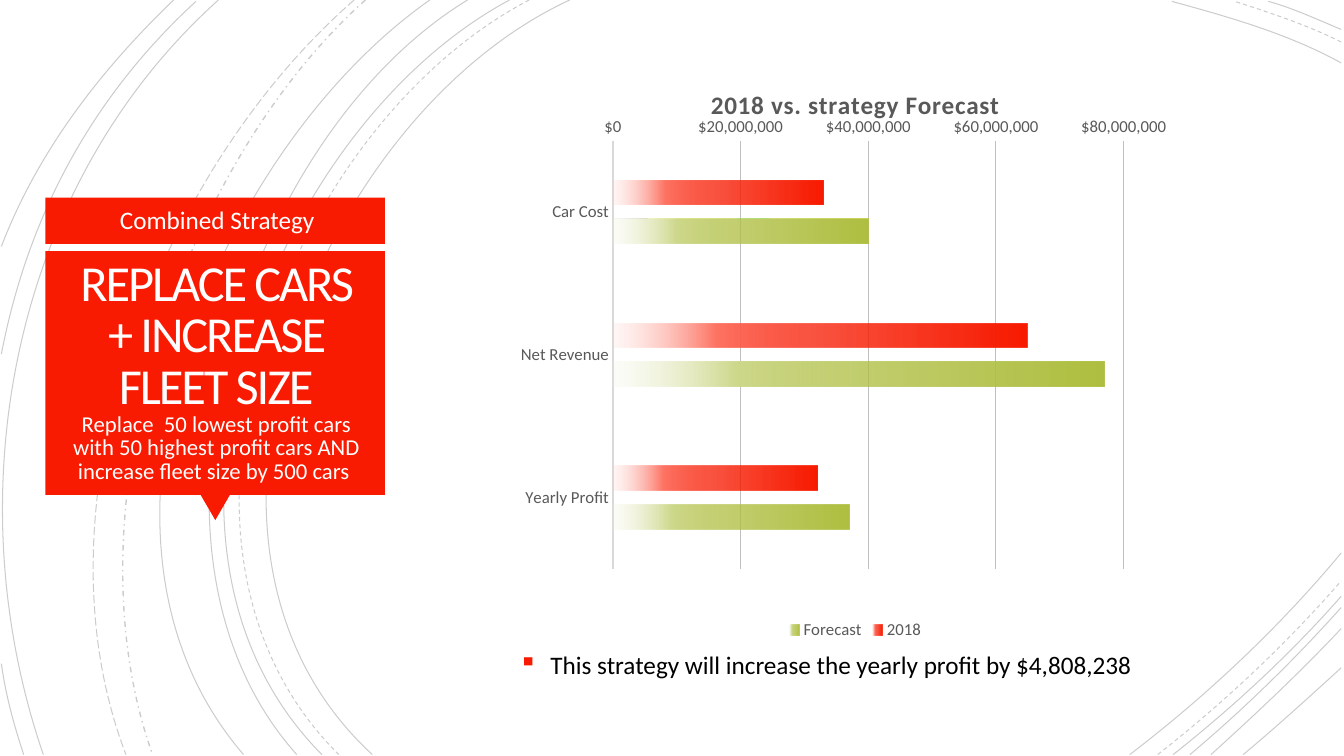
from dataclasses import dataclass

from lxml.etree import SubElement
from pptx import Presentation
from pptx.chart.data import CategoryChartData
from pptx.dml.color import RGBColor
from pptx.enum.chart import XL_AXIS_CROSSES, XL_CHART_TYPE, XL_LEGEND_POSITION, XL_TICK_MARK
from pptx.enum.dml import MSO_LINE
from pptx.enum.shapes import MSO_SHAPE
from pptx.enum.text import MSO_ANCHOR, MSO_AUTO_SIZE, PP_ALIGN
from pptx.oxml import parse_xml
from pptx.oxml.ns import nsdecls, qn
from pptx.util import Pt


@dataclass(frozen=True)
class Theme:
    """Colours, font and type sizes of the slide."""
    font: str = "Calibri"
    red: str = "F81B02"
    white: str = "FFFFFF"
    title_white: str = "FFFEFF"
    black: str = "000000"
    gray: str = "595959"
    axis: str = "D9D9D9"
    grid: str = "BFBFBF"
    title_size: float = 36
    detail_size: float = 16.2
    body_size: float = 18
    chart_title_size: float = 18
    chart_size: float = 12


theme = Theme()


def write_text(paragraph, text, size, color, bold=False, spacing=0, align=None):
    """Add a formatted run to a paragraph; spacing is in points."""
    run = paragraph.add_run()
    run.text = text
    run.font.name = theme.font
    run.font.size = Pt(size)
    run.font.bold = bold
    run.font.color.rgb = RGBColor.from_string(color)
    run._r.get_or_add_rPr().set("spc", str(round(spacing * 100)))
    if align is not None:
        paragraph.alignment = align


def add_text_box(left, top, width, height):
    """Add a wrapping text box and return its first paragraph."""
    frame = slide.shapes.add_textbox(Pt(left), Pt(top), Pt(width), Pt(height)).text_frame
    frame.word_wrap = True
    frame.auto_size = MSO_AUTO_SIZE.SHAPE_TO_FIT_TEXT
    return frame.paragraphs[0]


presentation = Presentation()
presentation.slide_width, presentation.slide_height = Pt(960), Pt(540)
slide = presentation.slides.add_slide(presentation.slide_layouts[5])

# Background arcs: start, two Bezier handles and end, grouped by dash style
arcs = {
    (MSO_LINE.SOLID, 0.75): [
        [(407, 0), (227, 83), (103, 389), (266, 539)],
        [(364, 0), (194, 91), (79, 387), (230, 539)],
        [(334, 0), (176, 96), (79, 390), (212, 539)],
        [(307, 0), (156, 106), (38, 381), (174, 539)],
        [(156, 0), (8, 133), (-33, 353), (31, 539)],
        [(140, 1), (66, 69), (20, 154), (1, 253)],
        [(124, 0), (72, 50), (27, 108), (1, 176)],
        [(1, 474), (4, 496), (10, 518), (17, 539)],
        [(958, 45), (920, 24), (877, 12), (837, 1)],
        [(958, 21), (941, 14), (924, 6), (906, 1)],
        [(807, 539), (862, 497), (914, 448), (958, 395)],
        [(838, 539), (881, 505), (922, 467), (958, 426)],
        [(850, 539), (888, 507), (924, 472), (958, 434)],
        [(865, 539), (897, 510), (929, 480), (958, 449)],
        [(888, 539), (912, 519), (935, 498), (958, 477)],
    ],
    (MSO_LINE.DASH, 0.75): [
        [(378, 0), (205, 90), (89, 387), (242, 539)],
        [(958, 30), (934, 18), (907, 9), (882, 1)],
        [(827, 539), (873, 503), (918, 461), (958, 415)],
    ],
    (MSO_LINE.DASH_DOT, 1): [[(261, 0), (127, 120), (47, 366), (109, 539)]],
    (MSO_LINE.LONG_DASH, 0.75): [[(253, 0), (113, 122), (21, 359), (90, 539)]],
}
for (dash, weight), curves in arcs.items():
    for start, *handles_and_end in curves:
        builder = slide.shapes.build_freeform(*start, scale=Pt(1))
        builder.add_line_segments(handles_and_end, close=False)
        arc = builder.convert_to_shape()
        outline = arc._element.find(".//" + qn("a:path"))
        bezier = SubElement(outline, qn("a:cubicBezTo"))
        for segment in outline.findall(qn("a:lnTo")):
            bezier.append(segment[0])
            outline.remove(segment)
        arc.shadow.inherit = False
        arc.fill.background()
        arc.line.width = Pt(weight)
        arc.line.dash_style = dash
        arc.line.color.rgb = RGBColor.from_string(theme.black)
        color = arc.line._ln.find(".//" + qn("a:srgbClr"))
        SubElement(color, qn("a:alpha")).set("val", "20000")

# Red callout
for preset, left, top, width, height, rotation in [
    (MSO_SHAPE.RECTANGLE, 32.4, 141.1, 242.6, 33.1, 0),
    (MSO_SHAPE.ISOSCELES_TRIANGLE, 143.3, 353.5, 20.9, 18, 180),
    (MSO_SHAPE.RECTANGLE, 32.4, 179.3, 242.6, 174.2, 0),
]:
    panel = slide.shapes.add_shape(preset, Pt(left), Pt(top), Pt(width), Pt(height))
    panel.rotation = rotation
    panel.shadow.inherit = False
    panel.fill.solid()
    panel.fill.fore_color.rgb = RGBColor.from_string(theme.red)
    panel.line.fill.background()

title = slide.shapes.title
title.left, title.top, title.width, title.height = Pt(41), Pt(185.8), Pt(226.8), Pt(159.8)
slide.shapes._spTree.append(title._element)
frame = title.text_frame
frame.word_wrap = True
frame.auto_size = MSO_AUTO_SIZE.NONE
frame.vertical_anchor = MSO_ANCHOR.MIDDLE
frame.margin_left = frame.margin_right = frame.margin_top = frame.margin_bottom = Pt(7.2)
paragraph = frame.paragraphs[0]
paragraph.line_spacing = 0.85
write_text(paragraph, "REPLACE CARS + INCREASE FLEET SIZE", theme.title_size,
           theme.title_white, spacing=-1.5, align=PP_ALIGN.CENTER)
paragraph.add_line_break()
write_text(paragraph, "Replace  50 lowest profit cars with 50 highest profit cars AND "
           "increase fleet size by 500 cars ", theme.detail_size, theme.title_white)

write_text(add_text_box(17.3, 142.6, 275.8, 29), "Combined Strategy",
           theme.body_size, theme.white, align=PP_ALIGN.CENTER)

conclusion = add_text_box(363.6, 460, 520, 29)
write_text(conclusion, "This strategy will increase the yearly profit by $4,808,238",
           theme.body_size, theme.black)
properties = conclusion._p.get_or_add_pPr()
properties.set("marL", str(Pt(22.5)))
properties.set("indent", str(Pt(-22.5)))
bullet_color = SubElement(properties, qn("a:buClr"))
SubElement(bullet_color, qn("a:srgbClr")).set("val", theme.red)
SubElement(properties, qn("a:buChar")).set("char", "▪")

# Chart
data = CategoryChartData(number_format='"$"#,##0')
data.categories = ["Car Cost", "Net Revenue", "Yearly Profit"]
data.add_series("2018", [33000000, 65000000, 32000000])
data.add_series("Forecast", [40000000, 77000000, 37000000])
chart = slide.shapes.add_chart(XL_CHART_TYPE.BAR_CLUSTERED, Pt(363.6), Pt(46.8),
                               Pt(494.6), Pt(413.3), data).chart
chart.font.name = theme.font
chart.font.size = Pt(theme.chart_size)
chart.font.color.rgb = RGBColor.from_string(theme.gray)
write_text(chart.chart_title.text_frame.paragraphs[0], "2018 vs. strategy Forecast",
           theme.chart_title_size, theme.gray, bold=True, spacing=0.5)
chart.has_legend = True
chart.legend.position = XL_LEGEND_POSITION.BOTTOM
chart.legend.include_in_layout = False

category_axis, value_axis = chart.category_axis, chart.value_axis
for axis in (category_axis, value_axis):
    axis.major_tick_mark = axis.minor_tick_mark = XL_TICK_MARK.NONE
category_axis.reverse_order = True
category_axis.crosses = XL_AXIS_CROSSES.MAXIMUM
category_axis.format.line.width = Pt(1.5)
category_axis.format.line.color.rgb = RGBColor.from_string(theme.axis)
value_axis.minimum_scale, value_axis.maximum_scale = 0, 90000000
value_axis.major_unit = 20000000
value_axis.tick_labels.number_format = '"$"#,##0'
value_axis.tick_labels.number_format_is_linked = False
value_axis.format.line.fill.background()
value_axis.major_gridlines.format.line.width = Pt(0.75)
value_axis.major_gridlines.format.line.color.rgb = RGBColor.from_string(theme.grid)

plot = chart.plots[0]
plot.gap_width, plot.overlap, plot.vary_by_categories = 326, -58, False
bar_colors = [(theme.red, "FE7464", "FFD1CB"), ("AFBF41", "CFD98D", "EFF2D9")]
for series, (strong, medium, pale) in zip(plot.series, bar_colors):
    stops = [(0, strong, 100), (51, strong, 75), (75, medium, 100), (100, pale, 15)]
    stop_xml = "".join(
        f'<a:gs pos="{position * 1000}"><a:srgbClr val="{color}">'
        f'<a:alpha val="{opacity * 1000}"/></a:srgbClr></a:gs>'
        for position, color, opacity in stops)
    series.format.line.fill.background()
    series._element.spPr.insert(0, parse_xml(
        f'<a:gradFill {nsdecls("a")}><a:gsLst>{stop_xml}</a:gsLst>'
        '<a:lin ang="10800000" scaled="0"/></a:gradFill>'))

plot_area = chart._chartSpace.chart.plotArea
for layout in plot_area.findall(qn("c:layout")):
    plot_area.remove(layout)
layout = SubElement(plot_area, qn("c:layout"))
plot_area.insert(0, layout)
manual = SubElement(layout, qn("c:manualLayout"))
for tag, value in [("layoutTarget", "inner"), ("xMode", "edge"), ("yMode", "edge"),
                   ("x", 0.15), ("y", 0.13), ("w", 0.83), ("h", 0.74)]:
    SubElement(manual, qn(f"c:{tag}")).set("val", str(value))

presentation.save("out.pptx")
